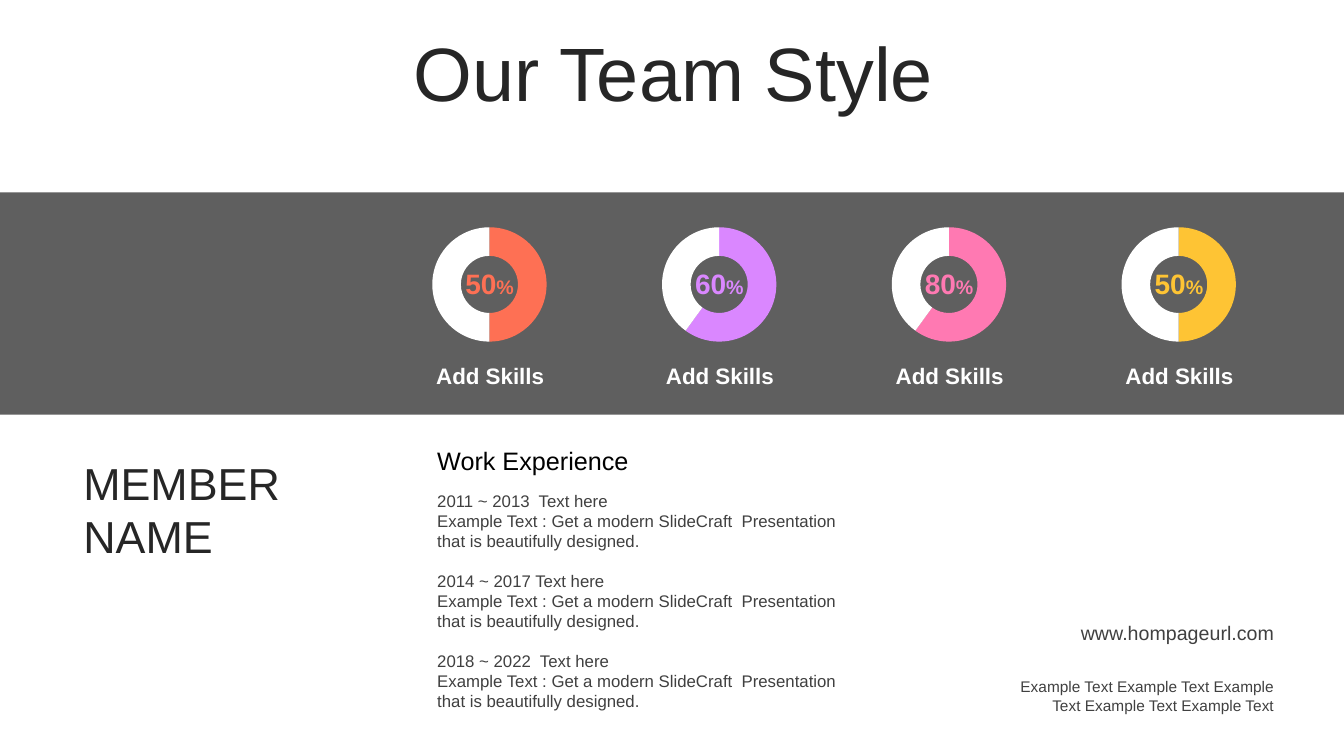
from lxml.etree import SubElement
from pptx import Presentation
from pptx.chart.data import CategoryChartData
from pptx.dml.color import RGBColor
from pptx.enum.chart import XL_CHART_TYPE
from pptx.enum.shapes import MSO_SHAPE
from pptx.enum.text import MSO_ANCHOR, PP_ALIGN
from pptx.oxml.ns import qn
from pptx.util import Cm, Pt

FONT = "Arial"
COLORS = {
    "band": "5F5F5F",
    "heading": "262626",
    "body": "404040",
    "black": "000000",
    "white": "FFFFFF",
    "orange": "FE7054",
    "violet": "DA87FF",
    "pink": "FF79B2",
    "yellow": "FEC434",
}
SKILLS = [
    ("50", 50, "orange"),
    ("60", 60, "violet"),
    ("80", 60, "pink"),
    ("50", 50, "yellow"),
]
SKILL_PITCH = 5.79
PERIODS = ["2011 ~ 2013  Text here", "2014 ~ 2017 Text here", "2018 ~ 2022  Text here"]
DETAIL = ("Example Text : Get a modern SlideCraft  Presentation "
          "that is beautifully designed.")
PLOT_LAYOUT = [
    ("layoutTarget", "inner"), ("xMode", "edge"), ("yMode", "edge"),
    ("x", "0.04"), ("y", "0.02"), ("w", "0.93"), ("h", "0.98"),
]


def rgb(name):
    return RGBColor.from_string(COLORS[name])


def style_font(font, size, color, bold=False):
    font.name = FONT
    font.size = Pt(size)
    font.bold = bold
    font.color.rgb = rgb(color)


def add_text(slide, box, lines, size, color, align=PP_ALIGN.LEFT,
             anchor=MSO_ANCHOR.TOP, bold=False, inset=True):
    frame = slide.shapes.add_textbox(*map(Cm, box)).text_frame
    frame.word_wrap = True
    frame.vertical_anchor = anchor
    if not inset:
        frame.margin_left = frame.margin_right = 0
        frame.margin_top = frame.margin_bottom = 0
    for index, line in enumerate(lines):
        paragraph = frame.add_paragraph() if index else frame.paragraphs[0]
        paragraph.text = line
        paragraph.alignment = align
        style_font(paragraph.font, size, color, bold)
    return frame.paragraphs


def add_band(slide, width):
    band = slide.shapes.add_shape(MSO_SHAPE.RECTANGLE, 0, Cm(4.85), width, Cm(5.6))
    band.shadow.inherit = False
    band.fill.solid()
    band.fill.fore_color.rgb = rgb("band")
    band.line.fill.background()


def set_plot_layout(chart):
    plot_area = chart.element.find(".//" + qn("c:plotArea"))
    for layout in plot_area.findall(qn("c:layout")):
        plot_area.remove(layout)
    layout = SubElement(plot_area, qn("c:layout"))
    plot_area.insert(0, layout)
    manual = SubElement(layout, qn("c:manualLayout"))
    for tag, value in PLOT_LAYOUT:
        SubElement(manual, qn("c:" + tag)).set("val", value)
    plot_area.find(".//" + qn("c:holeSize")).set("val", "65")


def add_ring(slide, left, share, color):
    ring_data = CategoryChartData()
    ring_data.categories = ["1", "2"]
    ring_data.add_series("Series 1", (share, 100 - share))
    chart = slide.shapes.add_chart(
        XL_CHART_TYPE.DOUGHNUT, Cm(left), Cm(5.64), Cm(3.1), Cm(3), ring_data
    ).chart
    chart.has_title = False
    chart.has_legend = False
    style_font(chart.font, 18, "black")
    set_plot_layout(chart)
    for index, fill_color in enumerate((color, "white")):
        segment = chart.plots[0].series[0].points[index].format
        segment.fill.solid()
        segment.fill.fore_color.rgb = rgb(fill_color)
        segment.line.fill.background()


def add_skill(slide, offset, label, share, color):
    add_ring(slide, 10.77 + offset, share, color)
    percent = add_text(slide, (11.44 + offset, 6.58, 1.8, 1.12), [label], 20, color,
                       PP_ALIGN.CENTER, MSO_ANCHOR.MIDDLE, bold=True)[0]
    sign = percent.add_run()
    sign.text = "%"
    sign.font.size = Pt(14)
    add_text(slide, (10.5 + offset, 9.12, 3.71, 0.69), ["Add Skills"], 16, "white",
             PP_ALIGN.CENTER, bold=True, inset=False)


def add_experience(slide):
    add_text(slide, (10.77, 11.1, 10.9, 1.02), ["Work Experience"], 18, "black")
    lines = [line for period in PERIODS for line in (period, DETAIL)]
    paragraphs = add_text(slide, (10.77, 12.24, 10.9, 5.89), lines, 12, "body")
    for period in paragraphs[2::2]:
        period.space_before = Pt(14)


def main():
    deck = Presentation()
    deck.slide_width, deck.slide_height = Cm(33.87), Cm(19.05)
    slide = deck.slides.add_slide(deck.slide_layouts[6])

    add_band(slide, deck.slide_width)
    title = add_text(slide, (0.89, 0.94, 32.16, 2), ["Our Team Style"], 54, "heading",
                     PP_ALIGN.CENTER, MSO_ANCHOR.MIDDLE)[0]
    title.line_spacing = 0.9
    for index, skill in enumerate(SKILLS):
        add_skill(slide, index * SKILL_PITCH, *skill)
    add_experience(slide)
    add_text(slide, (1.85, 11.35, 6.53, 3), ["MEMBER", "NAME"], 32, "heading")
    add_text(slide, (26.44, 15.52, 5.92, 0.86), ["www.hompageurl.com"], 14, "body",
             PP_ALIGN.RIGHT, MSO_ANCHOR.MIDDLE)
    add_text(slide, (24.71, 16.94, 7.65, 1.19), [" ".join(["Example Text"] * 5)], 11,
             "body", PP_ALIGN.RIGHT, MSO_ANCHOR.MIDDLE)
    deck.save("out.pptx")


if __name__ == "__main__":
    main()
